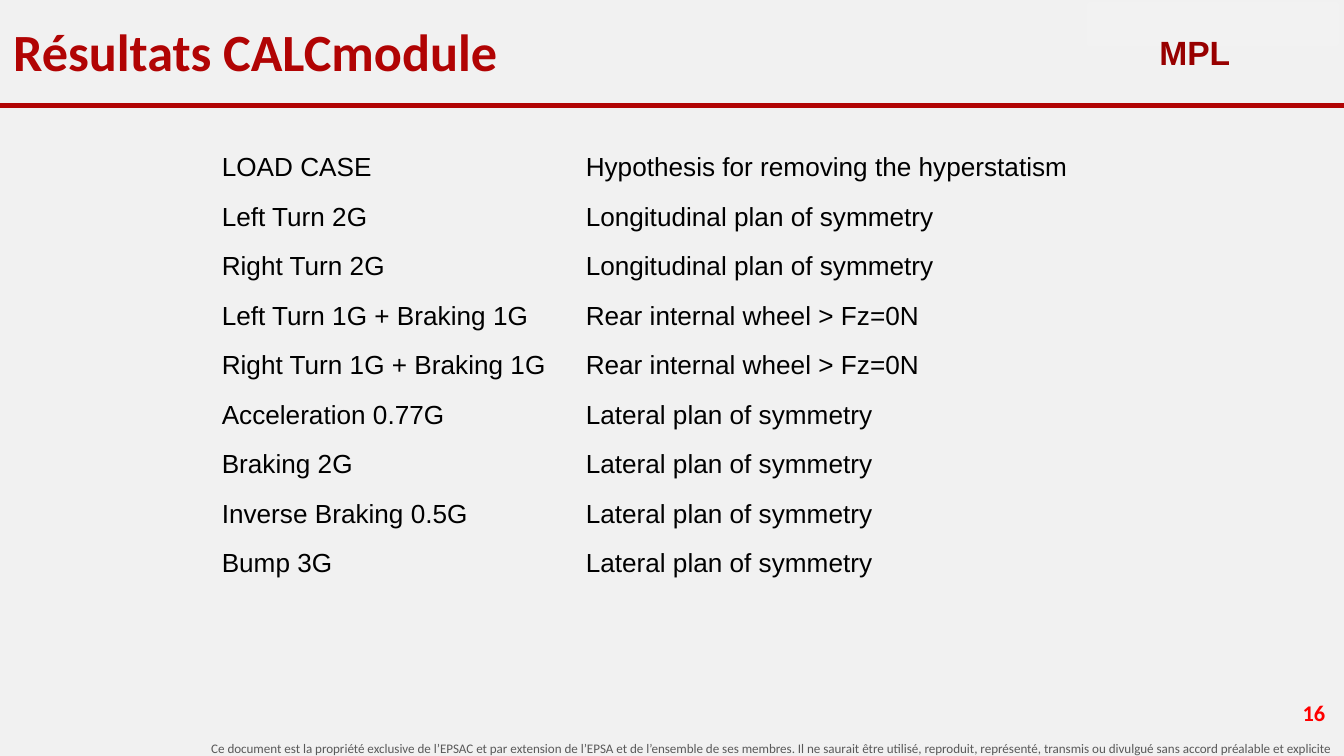
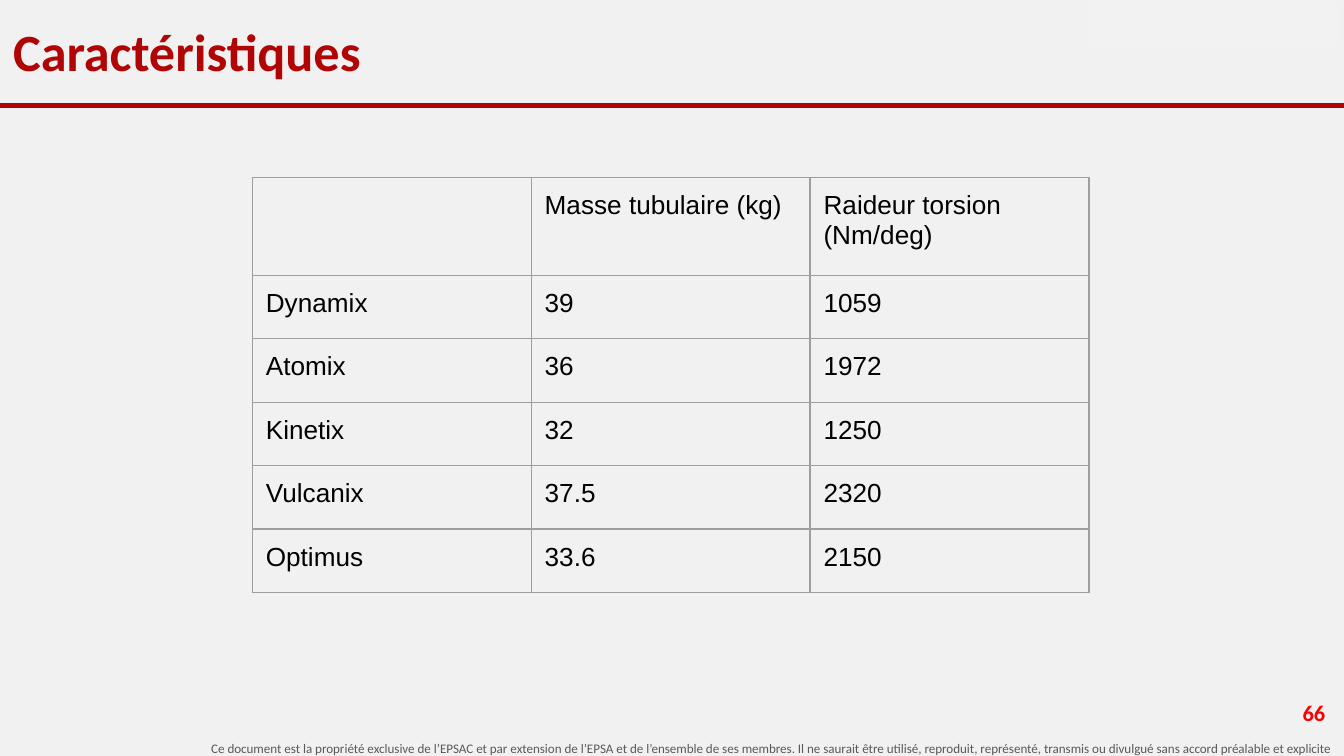
from lxml.etree import SubElement
from pptx import Presentation
from pptx.dml.color import RGBColor
from pptx.enum.shapes import MSO_SHAPE
from pptx.enum.text import MSO_ANCHOR, PP_ALIGN
from pptx.oxml.ns import qn
from pptx.util import Pt

WIDTH, HEIGHT = 720, 405
COLORS = {
    "back": "F1F1F1", "patch": "F2F2F2", "band": "B10404", "code": "980000",
    "page": "FF0000", "legal": "595959", "text": "000000", "grid": "9E9E9E",
}
PLAIN = "{2D5ABB26-0587-4C30-8999-92F81FD0307C}"  # no style, no grid
LEGAL = (
    "Ce document est la propriété exclusive de l’EPSAC et par extension de l’EPSA "
    "et de l’ensemble de ses membres. Il ne saurait être utilisé, reproduit, "
    "représenté, transmis ou divulgué sans accord préalable et explicite"
)
CASES = [
    ("LOAD CASE", "Hypothesis for removing the hyperstatism"),
    ("Left Turn 2G", "Longitudinal plan of symmetry"),
    ("Right Turn 2G", "Longitudinal plan of symmetry"),
    ("Left Turn 1G + Braking 1G", "Rear internal wheel > Fz=0N"),
    ("Right Turn 1G + Braking 1G", "Rear internal wheel > Fz=0N"),
    ("Acceleration 0.77G", "Lateral plan of symmetry"),
    ("Braking 2G", "Lateral plan of symmetry"),
    ("Inverse Braking 0.5G", "Lateral plan of symmetry"),
    ("Bump 3G", "Lateral plan of symmetry"),
]
FRAMES = [
    ("", "Masse tubulaire (kg)", "Raideur torsion (Nm/deg)"),
    ("Dynamix", "39", "1059"),
    ("Atomix", "36", "1972"),
    ("Kinetix", "32", "1250"),
    ("Vulcanix", "37.5", "2320"),
    ("Optimus", "33.6", "2150"),
]


def color(name):
    return RGBColor.from_string(COLORS[name])


def add_run(para, text, size, tint, face="Arial", bold=False):
    run = para.add_run()
    run.text = text
    font = run.font
    font.size, font.name, font.bold = Pt(size), face, bold
    font.color.rgb = color(tint)


def add_text(slide, box, text, size, tint, face="Calibri", bold=True,
             align=PP_ALIGN.LEFT, anchor=MSO_ANCHOR.MIDDLE, pad=3.6):
    """Place one line of text; pad is the inset above and below it."""
    frame = slide.shapes.add_textbox(*map(Pt, box)).text_frame
    frame.word_wrap = True
    frame.vertical_anchor = anchor
    frame.margin_left = frame.margin_right = Pt(7.2)
    frame.margin_top = frame.margin_bottom = Pt(pad)
    para = frame.paragraphs[0]
    para.alignment = align
    add_run(para, text, size, tint, face, bold)


def add_rect(slide, box, tint, line=0):
    rect = slide.shapes.add_shape(MSO_SHAPE.RECTANGLE, *map(Pt, box))
    rect.shadow.inherit = False
    rect.fill.solid()
    rect.fill.fore_color.rgb = color(tint)
    if line:
        rect.line.color.rgb = color(tint)
        rect.line.width = Pt(line)
    else:
        rect.line.fill.background()


def add_base(deck, title, page):
    """Start a slide with the shared background, title, band and footer."""
    slide = deck.slides.add_slide(deck.slide_layouts[6])
    back = slide.background.fill
    back.solid()
    back.fore_color.rgb = color("back")
    add_text(slide, (0, 393.2, WIDTH, 15.8), LEGAL, 7, "legal", bold=False,
             align=PP_ALIGN.RIGHT, anchor=MSO_ANCHOR.TOP)
    add_rect(slide, (0, 55.2, WIDTH, 2.7), "band")
    add_rect(slide, (583.2, 2.2, 133.2, 21.6), "patch", 2)
    add_text(slide, (643.7, 368.6, 73.4, 26), page, 12, "page",
             align=PP_ALIGN.RIGHT)
    add_text(slide, (0, 1.4, WIDTH, 52), title, 28, "band", pad=7.2)
    return slide


def add_edges(cell):
    props = cell._tc.get_or_add_tcPr()
    for side in ("lnL", "lnR", "lnT", "lnB"):
        line = SubElement(props, qn("a:" + side), w=str(Pt(0.75)))
        fill = SubElement(line, qn("a:solidFill"))
        SubElement(fill, qn("a:srgbClr"), val=COLORS["grid"])


def add_grid(slide, spot, rows, widths, heights, pad, edged=False):
    """Fill a table at spot; pad is the inset above and below cell text."""
    left, top = spot
    box = left, top, sum(widths), sum(heights)
    table = slide.shapes.add_table(len(rows), len(widths), *map(Pt, box)).table
    table.first_row = table.horz_banding = False
    table._tbl.tblPr.find(qn("a:tableStyleId")).text = PLAIN
    for col, width in zip(table.columns, widths):
        col.width = Pt(width)
    for row, height, texts in zip(table.rows, heights, rows):
        row.height = Pt(height)
        for cell, text in zip(row.cells, texts):
            if edged:
                add_edges(cell)
            cell.fill.background()
            cell.margin_left = cell.margin_right = Pt(7.2)
            cell.margin_top = cell.margin_bottom = Pt(pad)
            if text:
                add_run(cell.text_frame.paragraphs[0], text, 14, "text")


def add_loads(deck):
    slide = add_base(deck, "Résultats CALCmodule", "16")
    add_grid(slide, (111.6, 78.5), CASES, (195, 300), [26.52] * len(CASES), 3.6)
    add_text(slide, (614, 10, 55.6, 35.3), "MPL", 18, "code", "Arial",
             anchor=MSO_ANCHOR.TOP, pad=7.2)


def add_specs(deck):
    slide = add_base(deck, "Caractéristiques", "66")
    heights = [52.3] + [34] * (len(FRAMES) - 1)
    add_grid(slide, (135.2, 95.2), FRAMES, [149.4] * 3, heights, 7.2, True)


def main():
    deck = Presentation()
    deck.slide_width, deck.slide_height = Pt(WIDTH), Pt(HEIGHT)
    add_loads(deck)
    add_specs(deck)
    deck.save("out.pptx")


if __name__ == "__main__":
    main()
